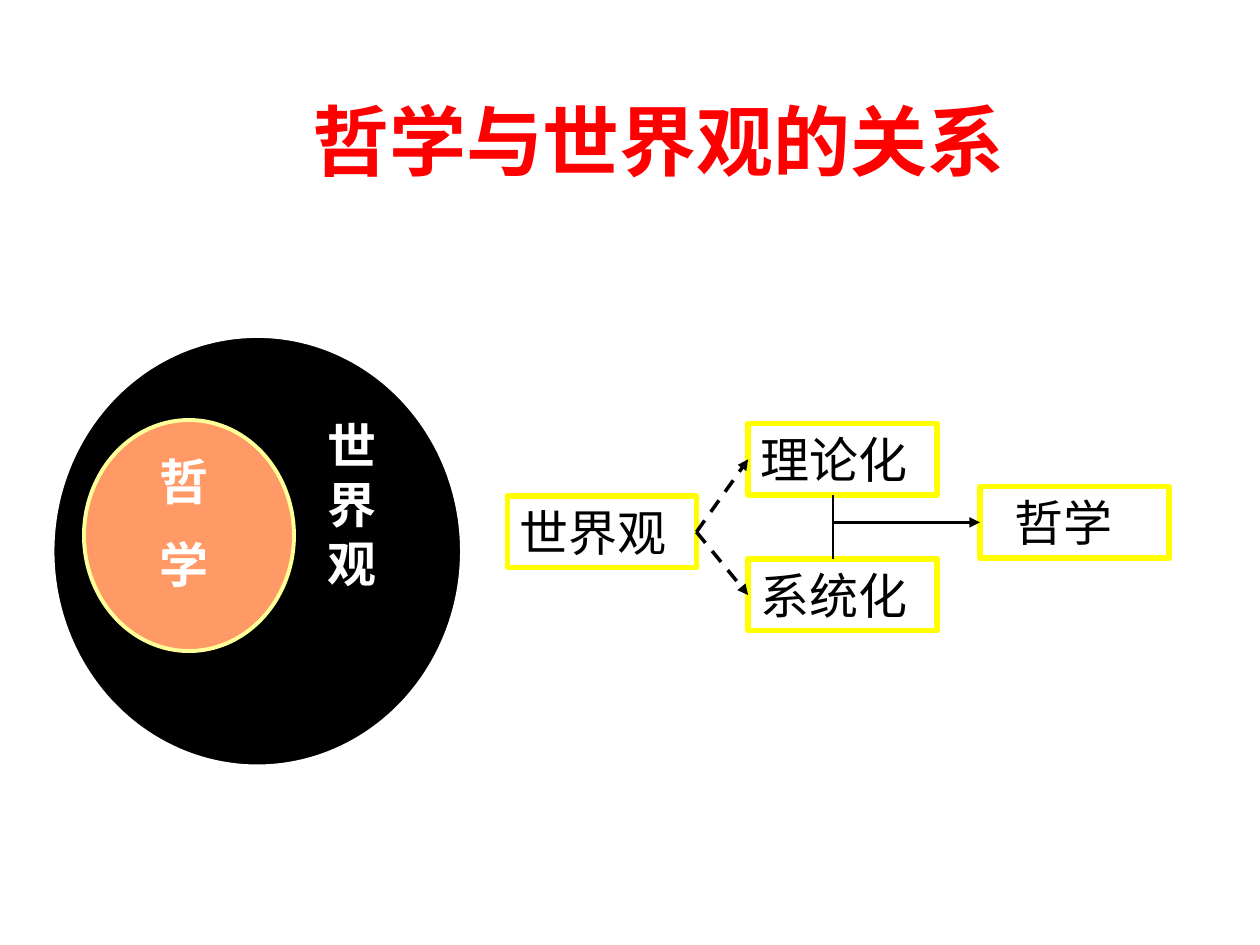
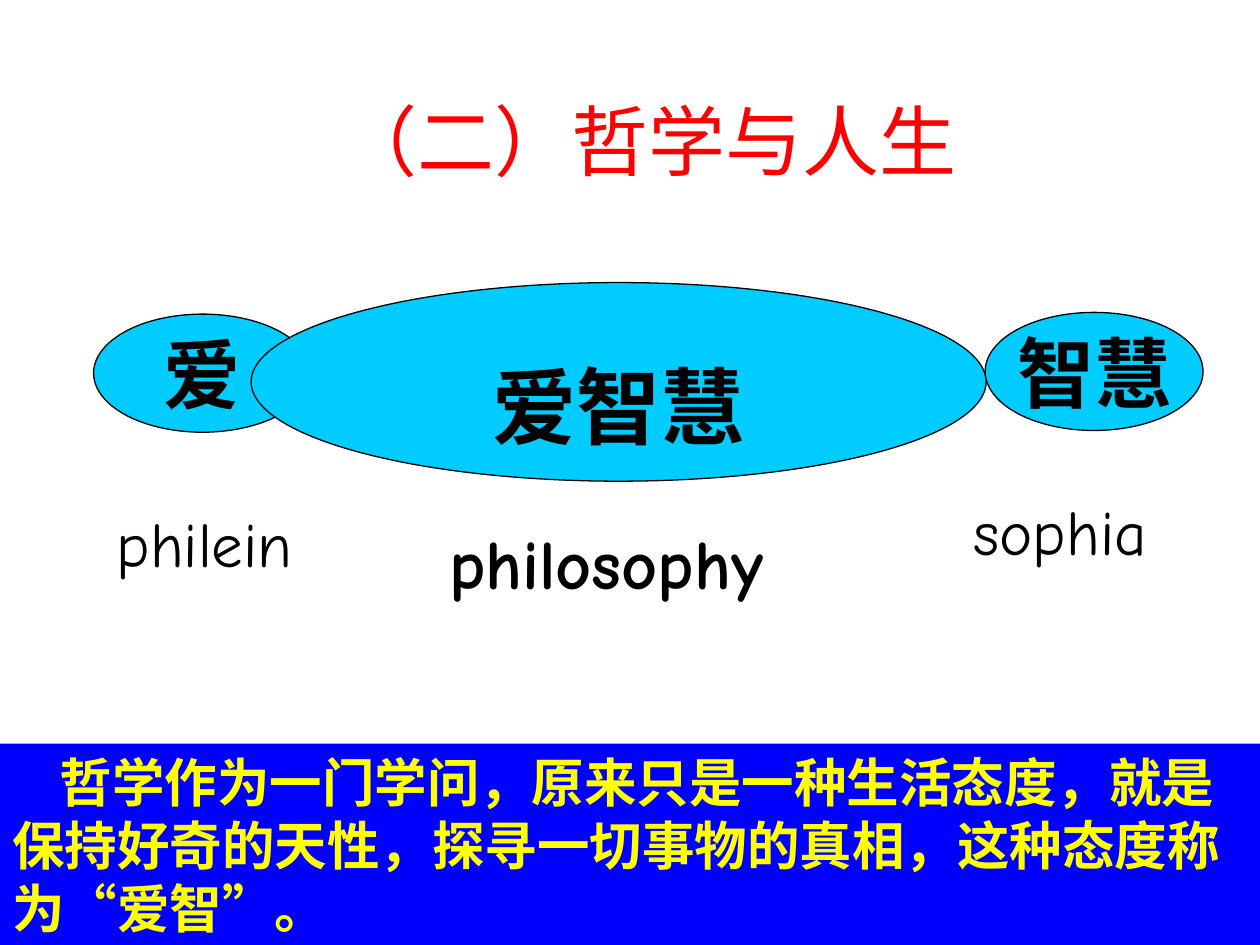
from lxml import etree
from pptx import Presentation
from pptx.dml.color import RGBColor
from pptx.enum.dml import MSO_LINE
from pptx.enum.shapes import MSO_CONNECTOR, MSO_SHAPE
from pptx.enum.text import MSO_ANCHOR, PP_ALIGN
from pptx.oxml.ns import qn
from pptx.util import Pt

RECT, OVAL = MSO_SHAPE.RECTANGLE, MSO_SHAPE.OVAL
STRAIGHT, DASH = MSO_CONNECTOR.STRAIGHT, MSO_LINE.DASH
TOP, MIDDLE, BOTTOM = MSO_ANCHOR.TOP, MSO_ANCHOR.MIDDLE, MSO_ANCHOR.BOTTOM
LEFT, CENTER = PP_ALIGN.LEFT, PP_ALIGN.CENTER
RIGHT_SIDE, LEFT_SIDE = 3, 1

BLACK = RGBColor(0x00, 0x00, 0x00)
WHITE = RGBColor(0xFF, 0xFF, 0xFF)
RED = RGBColor(0xFF, 0x00, 0x00)
YELLOW = RGBColor(0xFF, 0xFF, 0x00)
PALE_YELLOW = RGBColor(0xFF, 0xFF, 0x99)
ORANGE = RGBColor(0xFF, 0x99, 0x66)
CYAN = RGBColor(0x00, 0xCC, 0xFF)
BLUE = RGBColor(0x00, 0x00, 0xFF)

SANS, SERIF, HEAVY, COMIC = "Arial", "Times New Roman", "Cabin", "Comic Neue"


def add_text(sp, text, size, font=SANS, color=BLACK, bold=False, align=LEFT,
             anchor=TOP, wrap=True, indent=0, before=0, spacing=None,
             top=3.6, right=7.2):
    """Fill a shape with one paragraph per line of text and return its paragraphs."""
    tf = sp.text_frame
    tf.word_wrap = wrap
    tf.vertical_anchor = anchor
    tf.margin_left, tf.margin_right = Pt(7.2), Pt(right)
    tf.margin_top, tf.margin_bottom = Pt(top), Pt(3.6)
    for i, line in enumerate(text.split("\n")):
        p = tf.paragraphs[0] if i == 0 else tf.add_paragraph()
        p.alignment = align
        if indent:
            p._p.get_or_add_pPr().set("indent", str(Pt(indent)))
        if i:
            p.space_before = Pt(before)
        if spacing:
            p.line_spacing = spacing
        r = p.add_run()
        r.text = line
        r.font.size, r.font.name = Pt(size), font
        r.font.bold, r.font.color.rgb = bold, color
    return tf.paragraphs


def add_box(slide, kind, x, y, w, h, fill, line=None, width=0.75):
    """Add a flat preset shape with a solid fill and an optional outline."""
    sp = slide.shapes.add_shape(kind, Pt(x), Pt(y), Pt(w), Pt(h))
    sp.shadow.inherit = False
    sp.fill.solid()
    sp.fill.fore_color.rgb = fill
    if line is None:
        sp.line.fill.background()
    else:
        sp.line.color.rgb = line
        sp.line.width = Pt(width)
    return sp


def add_label(slide, x, y, w, h, text, size, **style):
    """Add a text box."""
    sp = slide.shapes.add_textbox(Pt(x), Pt(y), Pt(w), Pt(h))
    add_text(sp, text, size, **style)


def add_line(slide, x1, y1, x2, y2, width, arrow=False, dash=None):
    """Add a black straight connector."""
    cn = slide.shapes.add_connector(STRAIGHT, Pt(x1), Pt(y1), Pt(x2), Pt(y2))
    cn.line.color.rgb = BLACK
    cn.line.width = Pt(width)
    if dash:
        cn.line.dash_style = dash
    if arrow:
        etree.SubElement(cn.line._get_or_add_ln(), qn("a:tailEnd"), type="triangle")
    etree.SubElement(cn._element.spPr, qn("a:effectLst"))
    return cn


def add_title(slide, x, text, bold=False):
    """Add the red slide title."""
    add_label(slide, x, 20, 612, 90, text, 44, font=SERIF, color=RED, bold=bold,
              align=CENTER, anchor=BOTTOM)


def add_nested_ovals(slide, x, y):
    """Draw philosophy as an oval inside the world-view oval."""
    add_box(slide, OVAL, x, y, 234, 246, BLACK, WHITE, 2.25)
    add_box(slide, OVAL, x + 18, y + 48, 120, 132, ORANGE, PALE_YELLOW, 2.25)
    add_label(slide, x + 150, y + 42, 60, 108, "世界观", 28, color=WHITE, bold=True)
    add_label(slide, x + 54, y + 66, 54, 86, "哲\n学", 28, color=WHITE, bold=True,
              before=17.5, spacing=0.9)


def add_flow(slide, x, y):
    """Draw the flow from world view to philosophy."""
    w, h = 108, 41
    steps = [("世界观", 0, 41.5, 0), ("系统化", 137.5, 77.5, 0),
             ("理论化", 137.5, 0, 0), ("哲学", 270, 36, 12.5)]
    boxes = []
    for text, dx, dy, indent in steps:
        sp = add_box(slide, RECT, x + dx, y + dy, w, h, WHITE, YELLOW, 3)
        add_text(sp, text, 28, indent=indent)
        boxes.append(sp)
    world, system, theory, philosophy = boxes
    bar_x, mid_y = x + 186, y + 36 + h / 2
    add_line(slide, bar_x, y + h, bar_x, y + 77.5, 0.75)
    cn = add_line(slide, bar_x, mid_y, x + 270, mid_y, 2, arrow=True)
    cn.end_connect(philosophy, LEFT_SIDE)
    for target in (system, theory):
        cn = add_line(slide, x, y, x, y, 2, arrow=True, dash=DASH)
        cn.begin_connect(world, RIGHT_SIDE)
        cn.end_connect(target, LEFT_SIDE)


def add_word_roots(slide, x, y):
    """Draw the two roots and the word philosophy that joins them."""
    def root(dx, dy, text):
        """Add the oval of one root."""
        sp = add_box(slide, OVAL, x + dx, y + dy, 124.5, 67.5, CYAN, BLACK)
        add_text(sp, text, 44, font=HEAVY, bold=True, align=CENTER,
                 anchor=MIDDLE, wrap=False)

    def greek(dx, dy, w, h, text):
        """Add the Greek word under a root."""
        sp = add_box(slide, RECT, x + dx, y + dy, w, h, WHITE, WHITE)
        add_text(sp, text, 36, font=COMIC, align=CENTER, anchor=MIDDLE,
                 wrap=False, right=12.2)

    greek(6.5, 114.5, 119, 68, "philein")
    root(0, 18, "爱")
    greek(498.5, 110.5, 113, 62.5, "sophia")
    sp = add_box(slide, OVAL, x + 90, y, 420, 113.5, CYAN, BLACK)
    _, p = add_text(sp, "爱智慧\nphilosophy ", 48, font=HEAVY, bold=True,
                    align=CENTER, wrap=False, before=36.8, top=24.3)
    p.runs[0].font.size, p.runs[0].font.name = Pt(40), COMIC
    root(509.5, 17, "智慧")


def add_band(slide, x, y, w, h):
    """Add the blue band with the closing statement."""
    sp = add_box(slide, RECT, x, y, w, h, BLUE)
    add_text(sp, "哲学作为一门学问，原来只是一种生活态度，就是保持好奇的天性，"
             "探寻一切事物的真相，这种态度称为“爱智”。",
             30, font=SERIF, color=YELLOW, bold=True, indent=27)


def main():
    """Build both slides and save the file."""
    prs = Presentation()
    prs.slide_width, prs.slide_height = Pt(720), Pt(540)
    blank = prs.slide_layouts[6]

    slide = prs.slides.add_slide(blank)
    add_nested_ovals(slide, 30, 192)
    add_title(slide, 70.5, "哲学与世界观的关系", bold=True)
    add_flow(slide, 290, 242)

    slide = prs.slides.add_slide(blank)
    add_word_roots(slide, 53.5, 161.5)
    add_title(slide, 65, "（二）哲学与人生")
    add_band(slide, 0, 425, 720, 115)

    prs.save("out.pptx")


if __name__ == "__main__":
    main()
